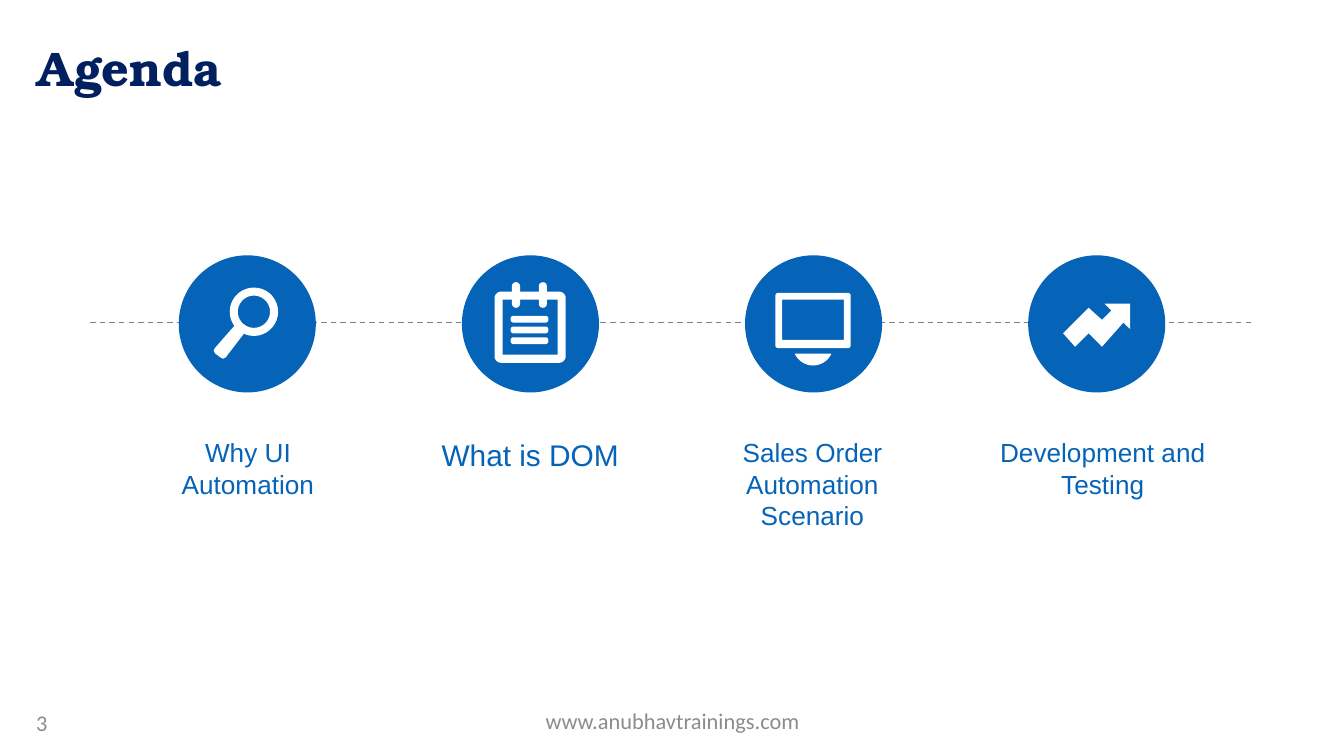
from math import cos, radians, sin

from lxml.etree import SubElement
from pptx import Presentation
from pptx.dml.color import RGBColor
from pptx.enum.dml import MSO_LINE
from pptx.enum.shapes import MSO_CONNECTOR, MSO_SHAPE
from pptx.enum.text import MSO_ANCHOR, PP_ALIGN
from pptx.oxml.ns import qn
from pptx.util import Inches, Pt

COLORS = {"blue": "0563B8", "white": "FFFFFF", "rule": "808080",
          "footer": "8C8C8C", "navy": "002060", "sky": "0070C0"}


def rgb(name):
    return RGBColor.from_string(COLORS[name])


def arc(center_x, center_y, radius, start, end, steps=8):
    angles = [radians(start + (end - start) * i / steps) for i in range(steps + 1)]
    return [(center_x + radius * cos(a), center_y + radius * sin(a)) for a in angles]


def rounded(left, top, width, height, radius):
    near_x, far_x = left + radius, left + width - radius
    near_y, far_y = top + radius, top + height - radius
    corners = [(near_x, near_y), (far_x, near_y), (far_x, far_y), (near_x, far_y)]
    return [point for i, (x, y) in enumerate(corners)
            for point in arc(x, y, radius, 180 + 90 * i, 270 + 90 * i)]


def rectangle(left, top, right, bottom):
    return [(left, top), (left, bottom), (right, bottom), (right, top)]


class AgendaSlide:
    """Holds the style and the current slide, and adds each kind of element."""

    font = "Arial"

    def __init__(self, slide):
        self.slide = slide

    def add_text(self, text, left, top, width, height, *, size=14, font=None,
                 color="blue", fade=None, bold=False, align=PP_ALIGN.LEFT,
                 anchor=MSO_ANCHOR.TOP):
        box = self.slide.shapes.add_textbox(
            Inches(left), Inches(top), Inches(width), Inches(height))
        frame = box.text_frame
        frame.word_wrap = True
        frame.vertical_anchor = anchor
        paragraph = frame.paragraphs[0]
        paragraph.alignment = align
        run = paragraph.add_run()
        run.text = text
        run.font.size = Pt(size)
        run.font.name = font or self.font
        run.font.bold = bold
        if fade:
            run.font.fill.gradient()
            run.font.fill.gradient_angle = 270
            for stop, name in zip(run.font.fill.gradient_stops, (color, fade)):
                stop.color.rgb = rgb(name)
        else:
            run.font.color.rgb = rgb(color)

    def paint(self, shape, color):
        shape.shadow.inherit = False
        shape.fill.solid()
        shape.fill.fore_color.rgb = rgb(color)
        shape.line.fill.background()

    def add_circle(self, left, top, diameter):
        circle = self.slide.shapes.add_shape(
            MSO_SHAPE.OVAL, Inches(left), Inches(top), Inches(diameter), Inches(diameter))
        self.paint(circle, "blue")

    def add_outline(self, *contours):
        first, *others = [[(Inches(x), Inches(y)) for x, y in contour]
                          for contour in contours]
        builder = self.slide.shapes.build_freeform(*first[0])
        builder.add_line_segments(first[1:], close=True)
        for contour in others:
            builder.move_to(*contour[0])
            builder.add_line_segments(contour[1:], close=True)
        self.paint(builder.convert_to_shape(), "white")

    def add_dashed_line(self, start_x, end_x, y):
        connector = self.slide.shapes.add_connector(
            MSO_CONNECTOR.STRAIGHT, Inches(start_x), Inches(y), Inches(end_x), Inches(y))
        connector.line.color.rgb = rgb("rule")
        connector.line.width = Pt(0.75)
        connector.line.dash_style = MSO_LINE.DASH
        SubElement(connector.element.spPr, qn("a:effectLst"))

    def add_magnifier(self):
        self.add_outline(arc(1.89, 2.32, 0.12, 0, 360, steps=36),
                         arc(1.89, 2.32, 0.18, 360, 0, steps=36))
        self.add_outline([(1.76, 2.41), (1.77, 2.42), (1.81, 2.45), (1.82, 2.47),
                          (1.81, 2.49), (1.68, 2.66), (1.66, 2.67), (1.64, 2.66),
                          (1.6, 2.63), (1.59, 2.61), (1.6, 2.59), (1.74, 2.43)])

    def add_notepad(self):
        self.add_outline(rounded(3.68, 2.17, 0.53, 0.53, 0.05),
                         rectangle(3.74, 2.23, 4.15, 2.64))
        for left in (3.81, 4.01):
            self.add_outline(rounded(left, 2.1, 0.06, 0.19, 0.03))
        for row in range(3):
            self.add_outline(rounded(3.8, 2.35 + 0.08 * row, 0.28, 0.05, 0.02))

    def add_monitor(self):
        self.add_outline(rounded(5.77, 2.18, 0.56, 0.41, 0.02),
                         rectangle(5.82, 2.23, 6.28, 2.53))
        self.add_outline(arc(6.05, 2.57, 0.15, 24, 156, steps=16))

    def add_growth_arrow(self):
        self.add_outline([(8.22, 2.26), (8.41, 2.26), (8.41, 2.45), (8.36, 2.4),
                          (8.2, 2.58), (8.1, 2.48), (8, 2.58), (7.91, 2.48),
                          (8.1, 2.29), (8.2, 2.38), (8.27, 2.31)])


def main():
    deck = Presentation()
    deck.slide_width = Inches(10)
    deck.slide_height = deck.slide_width * 9 // 16
    agenda = AgendaSlide(deck.slides.add_slide(deck.slide_layouts[6]))

    agenda.add_dashed_line(0.67, 9.33, 2.4)
    footer = {"size": 12, "font": "Calibri", "color": "footer",
              "anchor": MSO_ANCHOR.MIDDLE}
    agenda.add_text("www.anubhavtrainings.com", 3.42, 5.21, 3.17, 0.3,
                    align=PP_ALIGN.CENTER, **footer)
    agenda.add_text("3", 0.17, 5.23, 2.33, 0.3, **footer)
    agenda.add_text("Agenda", 0.18, 0.23, 9, 0.58, size=26, font="TeX Gyre Bonum",
                    color="navy", fade="sky", bold=True)

    topics = [("Why UI Automation", 0.97, 0.57, 14, agenda.add_magnifier),
              ("What is DOM", 3.07, 0.37, 16, agenda.add_notepad),
              ("Sales Order Automation Scenario", 5.17, 0.81, 14, agenda.add_monitor),
              ("Development and Testing", 7.33, 0.57, 14, agenda.add_growth_arrow)]
    first_circle, last_circle = 1.33, 7.65
    pitch = (last_circle - first_circle) / (len(topics) - 1)
    for index, (topic, left, height, size, add_icon) in enumerate(topics):
        agenda.add_circle(first_circle + pitch * index, 1.9, 1.02)
        add_icon()
        agenda.add_text(topic, left, 3.2, 1.75, height, size=size, align=PP_ALIGN.CENTER)

    deck.save("out.pptx")


if __name__ == "__main__":
    main()
